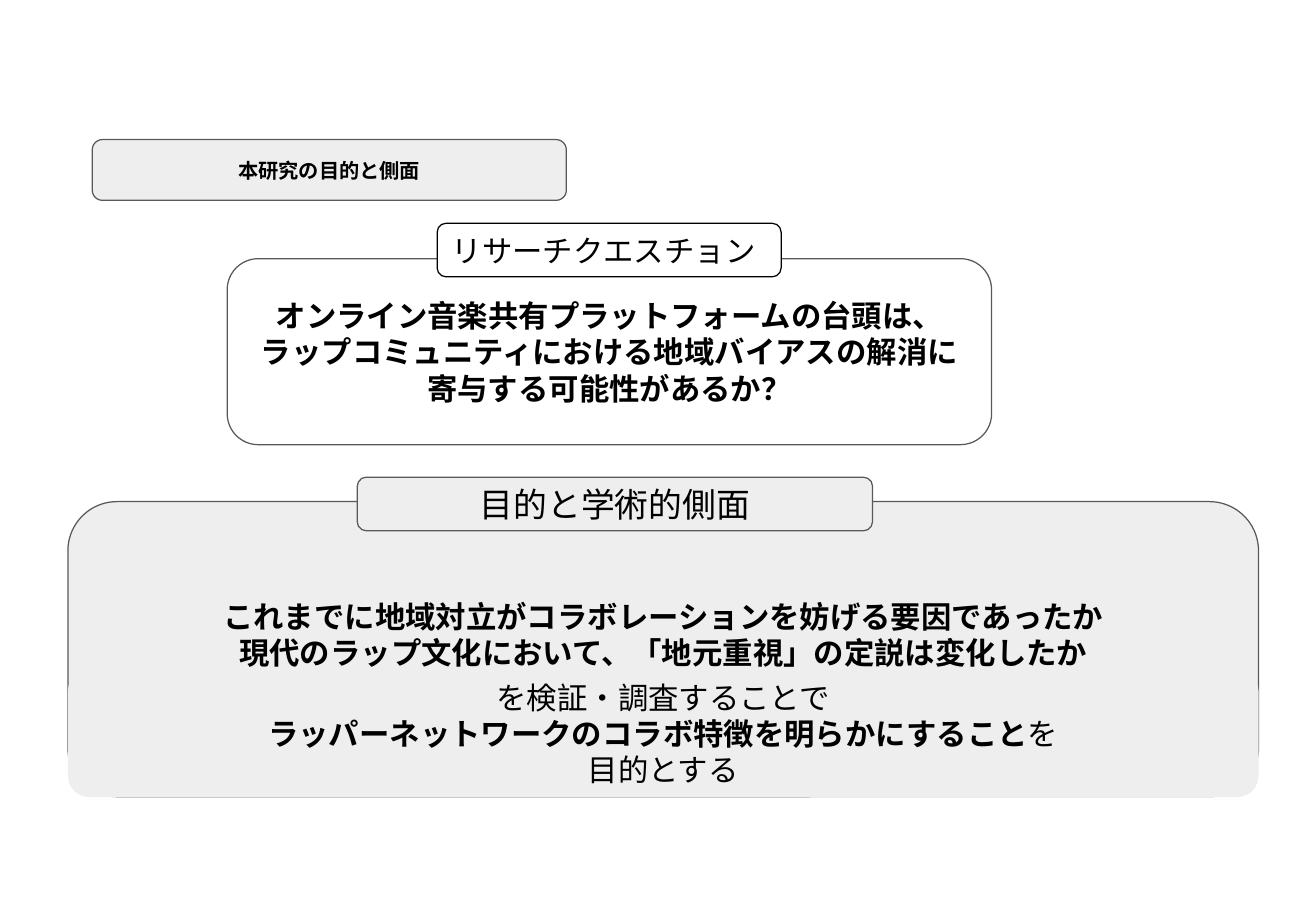
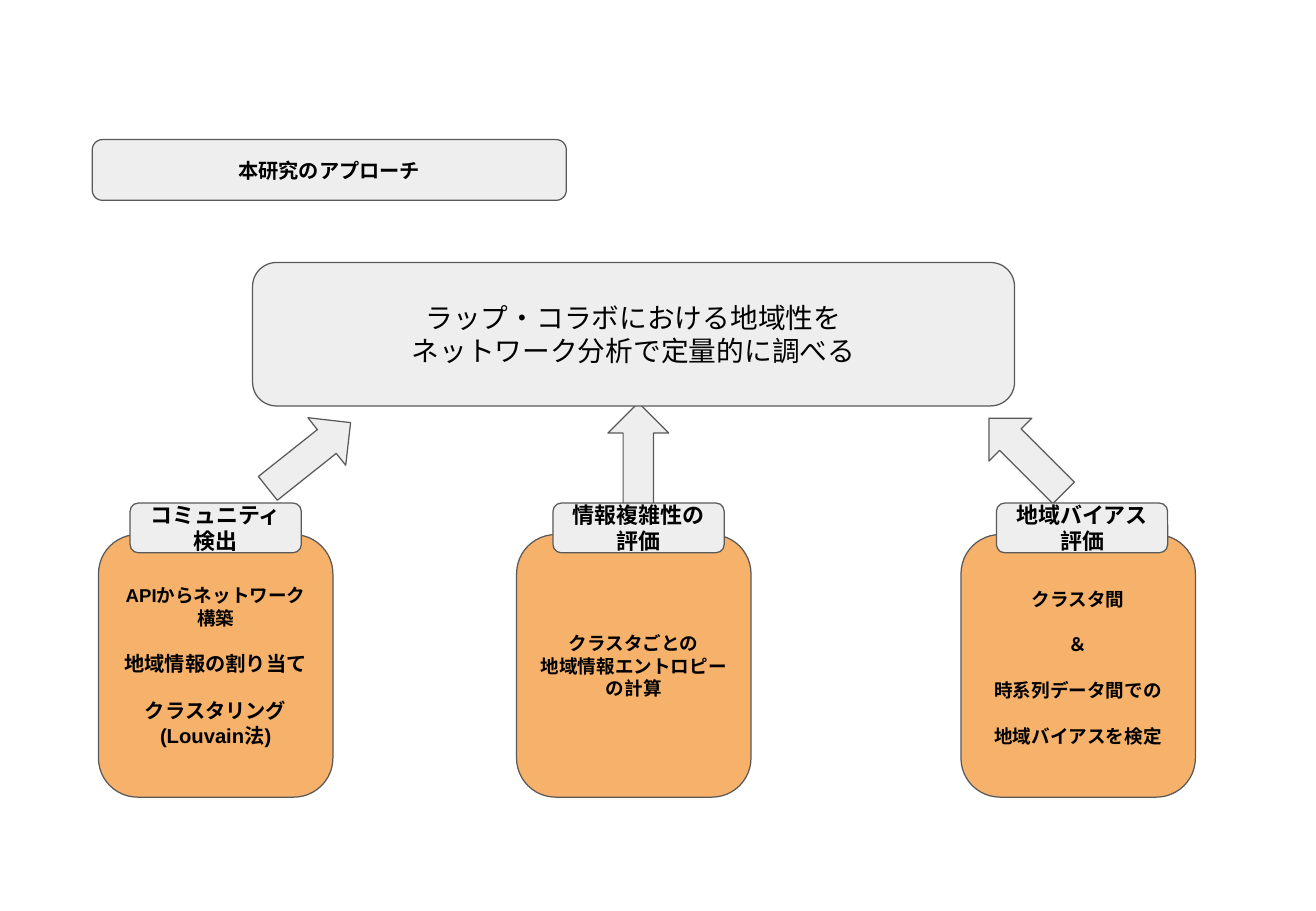
"""Build two slides on the aims and the approach of a study of rap collaboration."""
from dataclasses import dataclass

from pptx import Presentation
from pptx.dml.color import RGBColor
from pptx.enum.shapes import MSO_SHAPE
from pptx.enum.text import MSO_ANCHOR, PP_ALIGN
from pptx.util import Cm, Pt


@dataclass(frozen=True)
class Theme:
    font: str = "Arial"
    ink: RGBColor = RGBColor(0, 0, 0)
    white: RGBColor = RGBColor(255, 255, 255)
    grey: RGBColor = RGBColor(0xEE, 0xEE, 0xEE)
    orange: RGBColor = RGBColor(0xF6, 0xB2, 0x6B)
    outline: RGBColor = RGBColor(0x59, 0x59, 0x59)
    outline_width: float = 0.75
    inset: float = 0.25
    small: float = 11
    title: float = 12
    label: float = 13
    headline: float = 16.4
    body: float = 18
    heading: float = 20


@dataclass(frozen=True)
class Line:
    text: str
    size: float
    bold: bool = True
    tail: str = ""
    before: float = 0
    after: float = 0
    spacing: float = 1.0


class SlideBuilder:
    def __init__(self, deck, theme):
        self.deck = deck
        self.theme = theme
        self.page = None

    def new_page(self, title):
        self.page = self.deck.slides.add_slide(self.deck.slide_layouts[6])
        self.box((1.93, 2.92, 9.91, 1.27), [Line(title, self.theme.title)])

    def shape(self, kind, place, fill, outline):
        shape = self.page.shapes.add_shape(kind, *(Cm(length) for length in place))
        shape.shadow.inherit = False
        shape.fill.solid()
        shape.fill.fore_color.rgb = fill
        if outline is None:
            shape.line.fill.background()
        else:
            shape.line.color.rgb = outline
            shape.line.width = Pt(self.theme.outline_width)
        return shape

    def box(self, place, lines, fill=None, outlined=True, outline=None,
            align=PP_ALIGN.CENTER, bottom=None):
        theme = self.theme
        edge = (outline or theme.outline) if outlined else None
        box = self.shape(MSO_SHAPE.ROUNDED_RECTANGLE, place, fill or theme.grey, edge)
        frame = box.text_frame
        frame.word_wrap = True
        frame.vertical_anchor = MSO_ANCHOR.MIDDLE
        frame.margin_left = frame.margin_right = frame.margin_top = Cm(theme.inset)
        frame.margin_bottom = Cm(bottom or theme.inset)
        for index, line in enumerate(lines):
            para = frame.add_paragraph() if index else frame.paragraphs[0]
            self.set_line(para, line, align)

    def set_line(self, para, line, align):
        para.alignment = align
        para.line_spacing = line.spacing
        para.space_before, para.space_after = Pt(line.before), Pt(line.after)
        para.font.name = self.theme.font
        para.font.size = Pt(line.size)
        para.font.color.rgb = self.theme.ink
        span = para.add_run()
        span.text = line.text
        if line.tail:
            span.font.bold = line.bold
            tail = para.add_run()
            tail.text = line.tail
            tail.font.bold = not line.bold
        else:
            para.font.bold = line.bold

    def arrow(self, left, rotation):
        place = (left, 8.89, 2.21, 1.27)
        arrow = self.shape(MSO_SHAPE.RIGHT_ARROW, place, self.theme.grey, self.theme.outline)
        arrow.rotation = rotation


def build_aims(slide):
    theme = slide.theme
    slide.new_page("本研究の目的と側面")
    question = [
        "オンライン音楽共有プラットフォームの台頭は、",
        "ラップコミュニティにおける地域バイアスの解消に",
        "寄与する可能性があるか？",
    ]
    slide.box((4.75, 5.41, 15.98, 3.89), [Line(text, theme.body) for text in question],
              fill=theme.white)
    slide.box((9.14, 4.67, 7.19, 1.12), [Line("リサーチクエスチョン", theme.body, False)],
              fill=theme.white, outline=theme.ink, align=PP_ALIGN.LEFT)
    aims = [
        "これまでに地域対立がコラボレーションを妨げる要因であったか",
        "現代のラップ文化において、「地元重視」の定説は変化したか",
    ]
    slide.box((1.42, 10.49, 24.89, 6.17), [Line(text, theme.body) for text in aims],
              bottom=0.86)
    slide.box((7.47, 9.98, 10.77, 1.12), [Line("目的と学術的側面", theme.heading, False)])
    slide.box((1.42, 14, 24.89, 2.67), [
        Line("を検証・調査することで", theme.body, False),
        Line("ラッパーネットワークのコラボ特徴を明らかにすること", theme.body, tail="を"),
        Line("目的とする", theme.body, False),
    ], outlined=False)


def build_approach(slide):
    theme = slide.theme
    slide.new_page("本研究のアプローチ")
    for left, rotation in ((5.36, 321.5), (12.24, 270), (20.35, 225)):
        slide.arrow(left, rotation)
    headline = ["ラップ・コラボにおける地域性を", "ネットワーク分析で定量的に調べる"]
    slide.box((5.28, 5.49, 15.93, 3), [Line(text, theme.headline, False) for text in headline])
    network = [
        Line("APIからネットワーク構築", theme.small),
        Line("地域情報の割り当て", theme.title, before=13),
        Line("クラスタリング", theme.title, before=14),
        Line("(Louvain法)", theme.title),
    ]
    entropy = [Line(text, theme.small)
               for text in ("クラスタごとの", "地域情報エントロピーの計算")]
    bias = [Line(text, theme.small, before=12, after=after, spacing=1.15)
            for text, after in (("クラスタ間", 0), ("＆", 0), ("時系列データ間での", 0),
                                ("地域バイアスを検定", 12))]
    cards = (
        (2.06, 2.72, "コミュニティ検出", network),
        (10.8, 11.56, "情報複雑性の評価", entropy),
        (20.09, 20.83, "地域バイアス評価", bias),
    )
    for card_left, label_left, label, lines in cards:
        slide.box((card_left, 11.18, 4.9, 5.49), lines, fill=theme.orange)
        slide.box((label_left, 10.52, 3.58, 1.04), [Line(label, theme.label)])


def main():
    deck = Presentation()
    deck.slide_width, deck.slide_height = Cm(27.51), Cm(19.05)
    slide = SlideBuilder(deck, Theme())
    build_aims(slide)
    build_approach(slide)
    deck.save("out.pptx")


if __name__ == "__main__":
    main()
